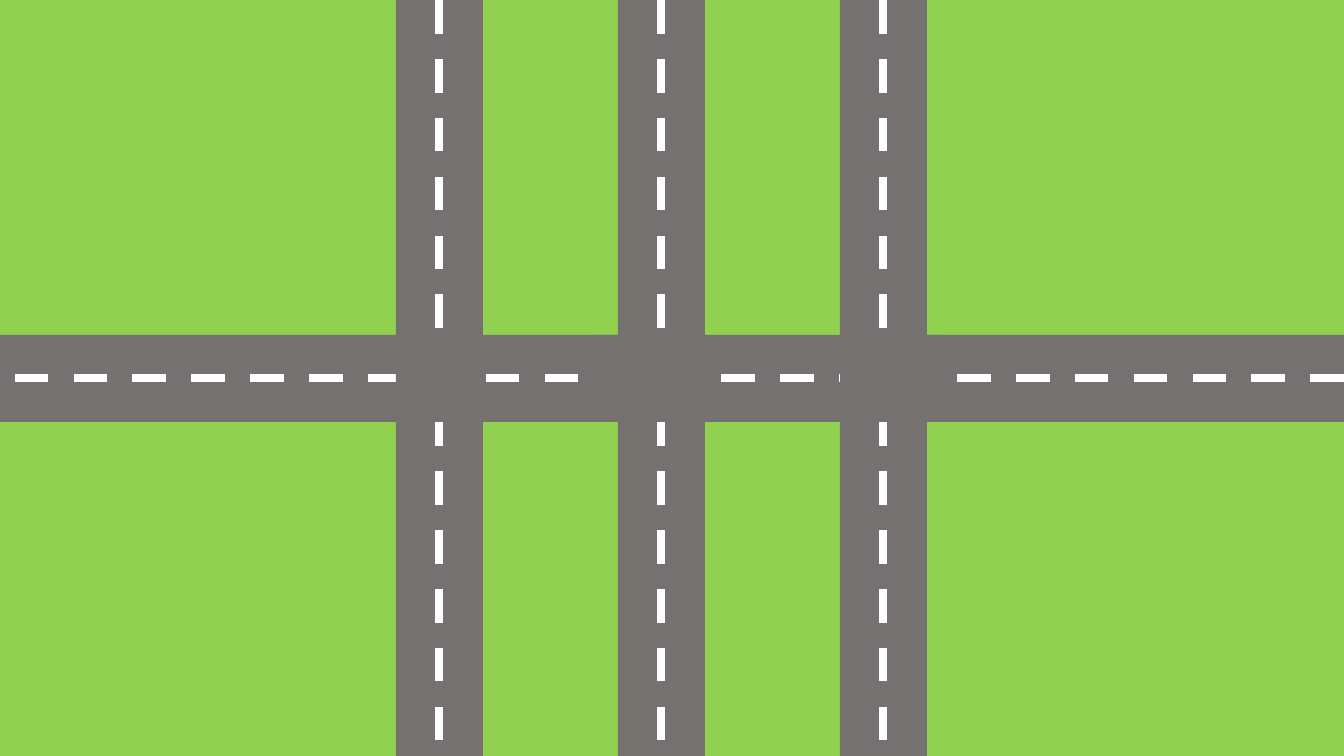
from lxml.etree import SubElement
from pptx import Presentation
from pptx.dml.color import RGBColor
from pptx.enum.dml import MSO_LINE
from pptx.enum.shapes import MSO_CONNECTOR, MSO_SHAPE
from pptx.oxml.ns import qn
from pptx.util import Emu, Pt

PIXELS_PER_INCH = 100.8
SLIDE_WIDTH, SLIDE_HEIGHT = 1344, 756
ROAD_WIDTH = 87
ROAD_LEFTS = [396 + 222 * index for index in range(3)]
CROSS_ROAD_TOP = 335
JUNCTIONS = [(396, 87), (596, 110), (840, 99)]
GRASS, ASPHALT, PAINT = "92D050", "767171", "FFFFFF"
LANE_FORMAT = {"width": Pt(6), "dash_style": MSO_LINE.DASH}


def scale(pixels):
    """Turn whole pixels into EMU."""
    return Emu(round(pixels * 914400 / PIXELS_PER_INCH))


def color(code):
    """Turn a hex string into a colour."""
    return RGBColor.from_string(code)


def add_block(shapes, left, top, width, height, fill):
    """Add a plain filled rectangle without outline or shadow."""
    block = shapes.add_shape(
        MSO_SHAPE.RECTANGLE, *map(scale, (left, top, width, height))
    )
    block.shadow.inherit = False
    block.fill.solid()
    block.fill.fore_color.rgb = color(fill)
    block.line.fill.background()


def add_lane_line(shapes, *ends):
    """Add a dashed lane marking from the first point to the second."""
    lane = shapes.add_connector(MSO_CONNECTOR.STRAIGHT, *map(scale, ends))
    lane.line.color.rgb = color(PAINT)
    for name, value in LANE_FORMAT.items():
        setattr(lane.line, name, value)
    SubElement(lane._element.spPr, qn("a:effectLst"))


def add_vertical_road(page, left):
    """Add a road from top to bottom, grouped with its lane marking."""
    road = page.shapes.add_group_shape().shapes
    middle = left + ROAD_WIDTH // 2
    add_block(road, left, 0, ROAD_WIDTH, SLIDE_HEIGHT, ASPHALT)
    add_lane_line(road, middle, 0, middle, SLIDE_HEIGHT)


def main():
    """Build the road map slide and save it."""
    deck = Presentation()
    deck.slide_width, deck.slide_height = scale(SLIDE_WIDTH), scale(SLIDE_HEIGHT)
    page = deck.slides.add_slide(deck.slide_layouts[6])
    add_block(page.shapes, 0, 0, SLIDE_WIDTH, SLIDE_HEIGHT, GRASS)
    first_left, *other_lefts = ROAD_LEFTS
    add_vertical_road(page, first_left)
    add_block(page.shapes, 0, CROSS_ROAD_TOP, SLIDE_WIDTH, ROAD_WIDTH, ASPHALT)
    for left in other_lefts:
        add_vertical_road(page, left)
    middle = CROSS_ROAD_TOP + ROAD_WIDTH // 2
    add_lane_line(page.shapes, SLIDE_WIDTH, middle, 0, middle)
    for left, width in JUNCTIONS:
        add_block(page.shapes, left, CROSS_ROAD_TOP, width, ROAD_WIDTH, ASPHALT)
    deck.save("out.pptx")


main()
